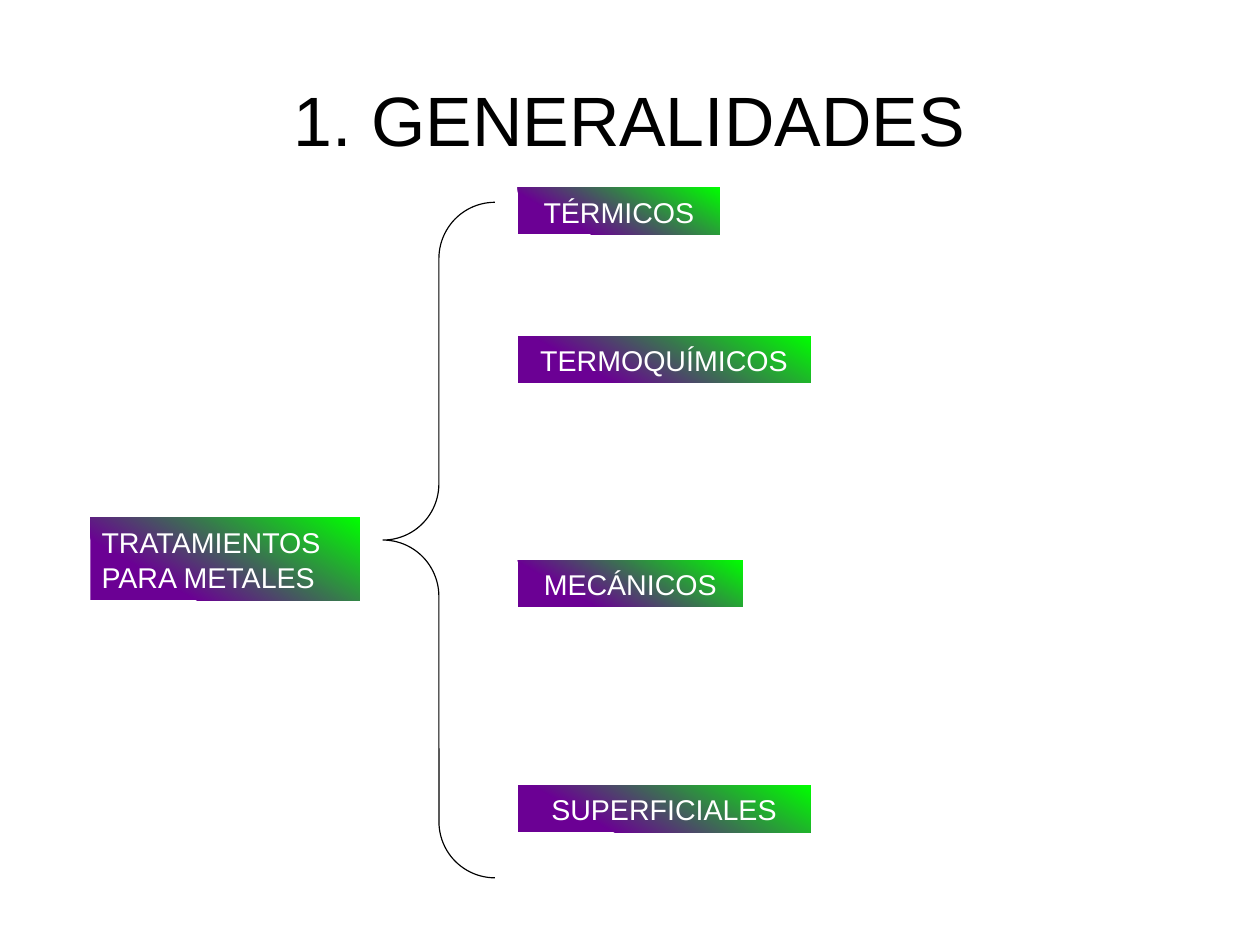
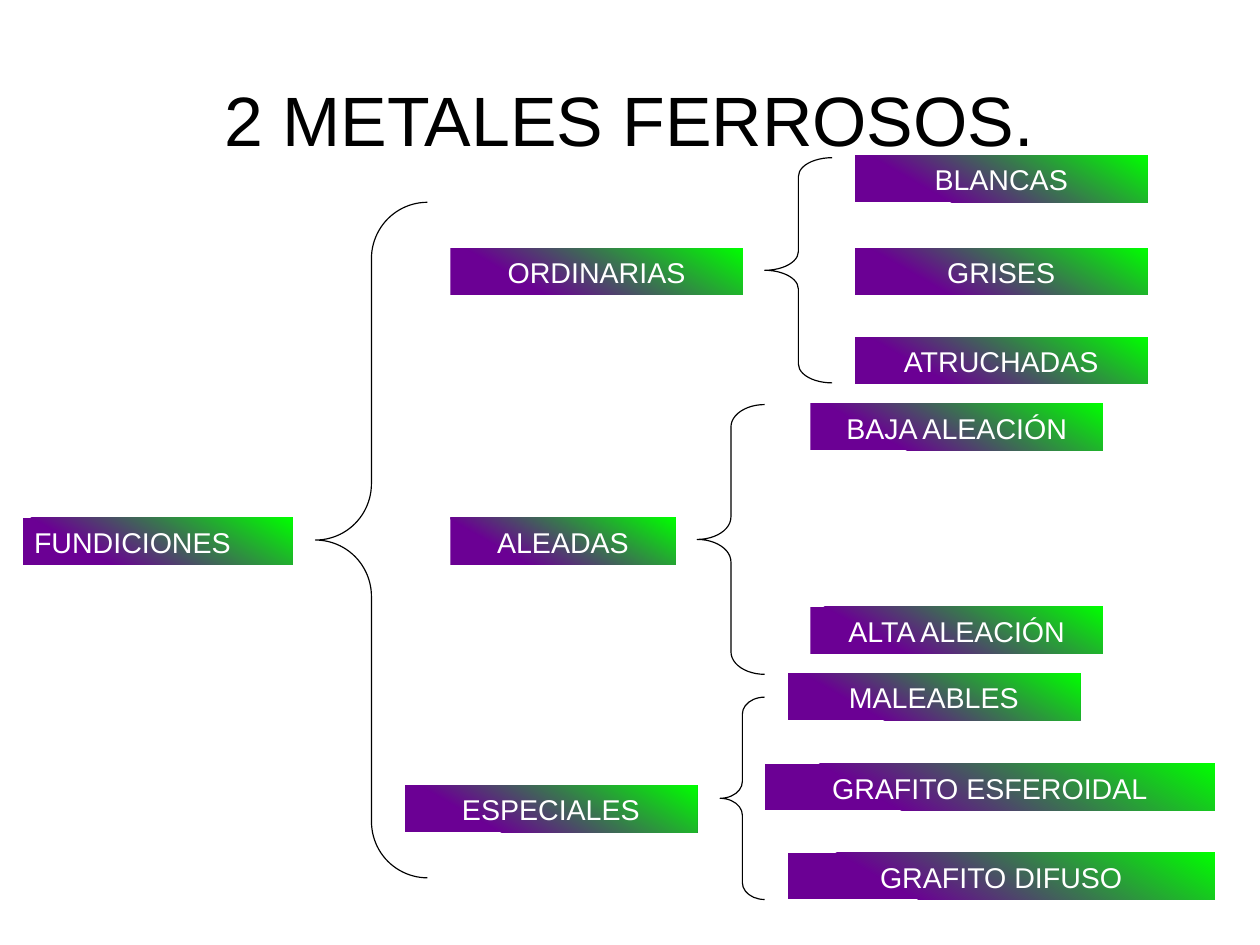
from dataclasses import dataclass

from pptx import Presentation
from pptx.dml.color import RGBColor as RGB
from pptx.enum.shapes import MSO_SHAPE as Shape
from pptx.enum.text import MSO_ANCHOR as Anchor, MSO_AUTO_SIZE as Fit, PP_ALIGN as Align
from pptx.util import Inches, Pt


@dataclass(frozen=True)
class Theme:
    """Colours, type and box sizes that both slides share."""
    font: str = "Arial"
    head: int = 44
    body: int = 18
    lead: float = 1.04
    black: RGB = RGB(0, 0, 0)
    white: RGB = RGB(255, 255, 255)
    stops: tuple = ((0.25, RGB(0x6B, 0, 0x94)), (1, RGB(0, 255, 0)))
    angle: int = 60
    page: tuple = (28 / 2.54, 21 / 2.54)  # 28 by 21 cm
    wide: float = 2.56
    slim: float = 1.97
    root: float = 2.36
    tall: float = 0.41


THEME = Theme()


def place(*sizes):
    """Turn numbers into lengths."""
    return [Inches(size) for size in sizes]


def style(para, size, color, align):
    """Format one paragraph."""
    para.alignment = align
    para.line_spacing = THEME.lead
    para.font.name = THEME.font
    para.font.size = Pt(size)
    para.font.color.rgb = color


def add_page(deck, title):
    """Add a slide with its title and return its shapes."""
    shapes = deck.slides.add_slide(deck.slide_layouts[5]).shapes
    head = shapes.title
    head.left, head.top, head.width, head.height = place(0.55, 0.26, 9.92, 1.53)
    frame = head.text_frame
    frame.text = title
    frame.auto_size = Fit.NONE
    frame.vertical_anchor = Anchor.MIDDLE
    frame.margin_left = frame.margin_right = 0
    frame.margin_top = frame.margin_bottom = 0
    style(frame.paragraphs[0], THEME.head, THEME.black, Align.CENTER)
    return shapes


def add_box(shapes, text, left, top, width=THEME.wide, height=THEME.tall,
            align=Align.CENTER):
    """Add a label on a gradient."""
    box = shapes.add_shape(Shape.RECTANGLE, *place(left, top, width, height))
    box.shadow.inherit = False
    box.line.fill.background()
    box.fill.gradient()
    box.fill.gradient_angle = THEME.angle
    for stop, (spot, color) in zip(box.fill.gradient_stops, THEME.stops):
        stop.position = spot
        stop.color.rgb = color
    frame = box.text_frame
    frame.text = text
    frame.word_wrap = True
    frame.vertical_anchor = Anchor.TOP
    style(frame.paragraphs[0], THEME.body, THEME.white, align)


def add_root(shapes, text, left, height=THEME.tall):
    """Add the label that a tree starts from, and its large brace."""
    add_box(shapes, text, left, 4.53, THEME.root, height, Align.LEFT)
    add_brace(shapes, left + 2.56, 1.77, 0.98, 5.91)


def add_brace(shapes, left, top, width, height):
    """Add a left brace whose curves are each a twelfth of its height."""
    brace = shapes.add_shape(Shape.LEFT_BRACE, *place(left, top, width, height))
    brace.shadow.inherit = False
    brace.adjustments[0] = height / 12 / width
    brace.fill.background()
    brace.line.color.rgb = THEME.black
    brace.line.width = Pt(0)


def add_kinds(deck):
    """Build the slide on kinds of treatment."""
    shapes = add_page(deck, "1. GENERALIDADES")
    add_root(shapes, "TRATAMIENTOS PARA METALES", 0.79, 0.72)
    for text, top, width in (
        ("TÉRMICOS", 1.64, 1.77),
        ("TERMOQUÍMICOS", 2.94, THEME.wide),
        ("MECÁNICOS", 4.9, THEME.slim),
        ("SUPERFICIALES", 6.87, THEME.wide),
    ):
        add_box(shapes, text, 4.53, top, width)


def add_irons(deck):
    """Build the slide on cast irons."""
    shapes = add_page(deck, "2 METALES FERROSOS.")
    add_root(shapes, "FUNDICIONES", 0.2)
    groups = (
        (("ORDINARIAS", 3.94, 2.17), (6.69, 1.38, 0.59, 1.97), (
            ("BLANCAS", 7.48, 1.36),
            ("GRISES", 7.48, 2.17),
            ("ATRUCHADAS", 7.48, 2.95))),
        (("ALEADAS", 3.94, 4.53, THEME.slim), (6.1, 3.54, 0.59, 2.36), (
            ("BAJA ALEACIÓN", 7.09, 3.53),
            ("ALTA ALEACIÓN", 7.09, 5.31))),
        (("ESPECIALES", 3.54, 6.87), (6.3, 6.1, 0.39, 1.77), (
            ("MALEABLES", 6.89, 5.89),
            ("GRAFITO ESFEROIDAL", 6.69, 6.68, 3.94),
            ("GRAFITO DIFUSO", 6.89, 7.46, 3.74))),
    )
    for group, brace, leaves in groups:
        add_box(shapes, *group)
        add_brace(shapes, *brace)
        for leaf in leaves:
            add_box(shapes, *leaf)


def main():
    """Build and save the deck."""
    deck = Presentation()
    deck.slide_width, deck.slide_height = place(*THEME.page)
    add_kinds(deck)
    add_irons(deck)
    deck.save("out.pptx")


main()
